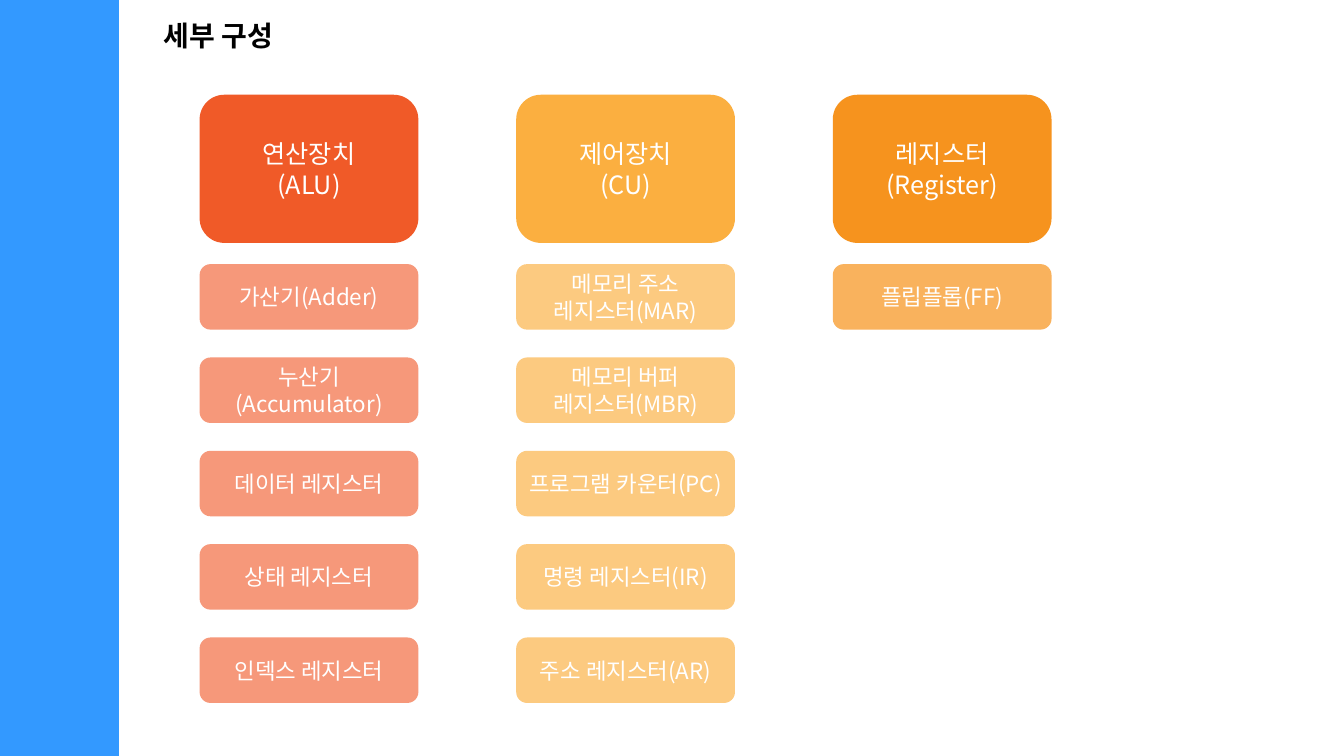
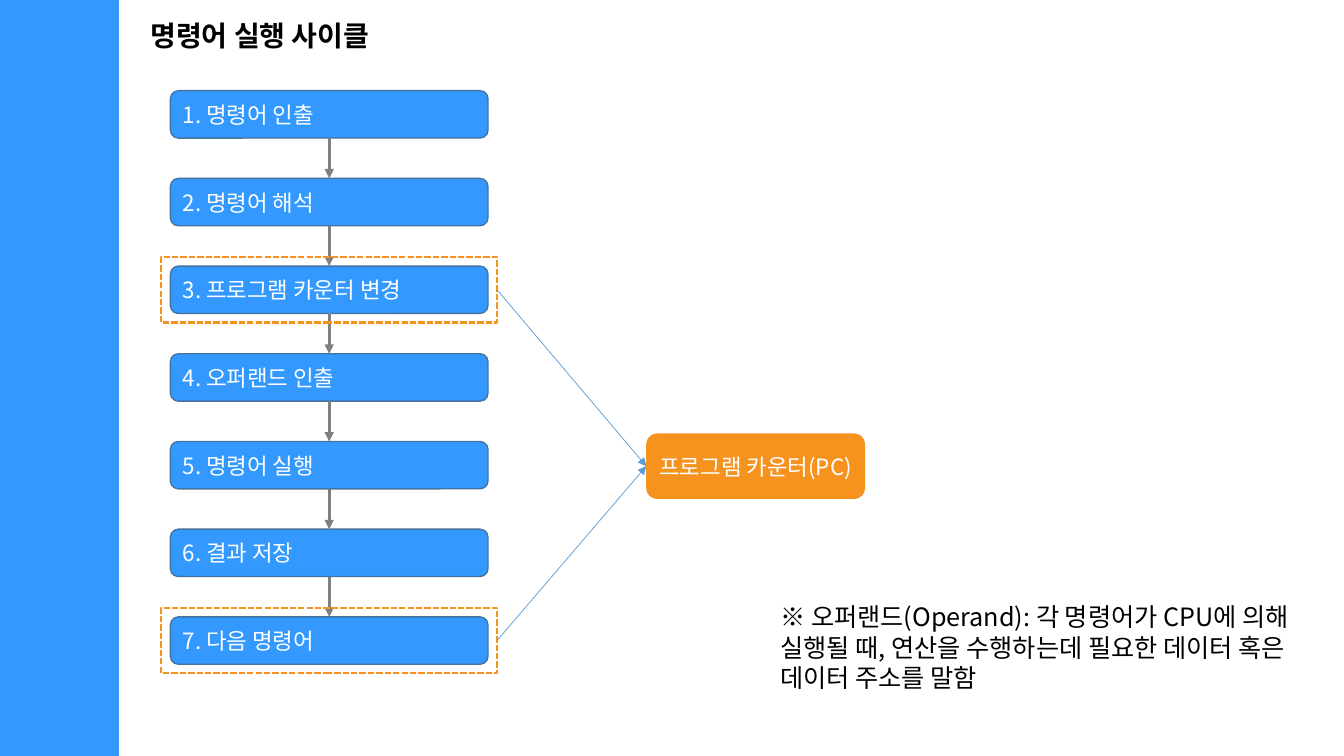
"""Build two slides on the parts of a CPU and its instruction cycle."""
from dataclasses import dataclass
from itertools import pairwise

from lxml.etree import SubElement
from pptx import Presentation
from pptx.dml.color import RGBColor
from pptx.enum.dml import MSO_LINE
from pptx.enum.shapes import MSO_CONNECTOR, MSO_SHAPE
from pptx.enum.text import MSO_ANCHOR, PP_ALIGN
from pptx.oxml.ns import qn
from pptx.util import Inches, Pt


@dataclass(frozen=True)
class Theme:
    """Colours, font and type sizes of the deck."""
    font: str = "Noto Sans CJK KR"
    blue: str = "3399FF"
    outline: str = "43739E"
    link: str = "5B9BD5"
    grey: str = "808080"
    orange: str = "F6931E"
    black: str = "000000"
    white: str = "FFFFFF"
    title_size: int = 20
    large_size: int = 18
    body_size: int = 16


THEME = Theme()
TITLE_ONLY = 5
TOP, BOTTOM, LEFT, RIGHT = 0, 2, 1, 3

UNITS_TITLE = "세부 구성"
UNITS = [
    ("연산장치\n(ALU)", "F05A28", "F6987A",
     ["가산기(Adder)", "누산기\n(Accumulator)", "데이터 레지스터",
      "상태 레지스터", "인덱스 레지스터"]),
    ("제어장치\n(CU)", "FBAF40", "FCCA80",
     ["메모리 주소 레지스터(MAR)", "메모리 버퍼 레지스터(MBR)",
      "프로그램 카운터(PC)", "명령 레지스터(IR)", "주소 레지스터(AR)"]),
    ("레지스터\n(Register)", THEME.orange, "F9B25D", ["플립플롭(FF)"]),
]

CYCLE_TITLE = "명령어 실행 사이클"
STEPS = ["명령어 인출", "명령어 해석", "프로그램 카운터 변경", "오퍼랜드 인출",
         "명령어 실행", "결과 저장", "다음 명령어"]
COUNTER_STEPS = [3, 7]
COUNTER = "프로그램 카운터(PC)"
NOTE = ("※ 오퍼랜드(Operand): 각 명령어가 CPU에 의해 실행될 때, "
        "연산을 수행하는데 필요한 데이터 혹은 데이터 주소를 말함")

UNIT_LEFT, UNIT_PITCH = 1.98, 3.14
UNIT_TOP, UNIT_HEIGHT = 0.94, 1.47
PART_TOP, PART_PITCH = 2.62, 0.926
PART_WIDTH, PART_HEIGHT = 2.17, 0.65
STEP_LEFT, STEP_TOP, STEP_PITCH = 1.69, 0.9, 0.87
STEP_WIDTH, STEP_HEIGHT = 3.15, 0.47
FRAME_MARGIN = 0.09


def color(value):
    """Turn a hex value into a colour."""
    return RGBColor.from_string(value)


def write(frame, text, size, ink, align=PP_ALIGN.LEFT, anchor=MSO_ANCHOR.MIDDLE, bold=False):
    """Write text, one run per line, into a text frame."""
    frame.word_wrap = True
    frame.vertical_anchor = anchor
    para = frame.paragraphs[0]
    para.alignment = align
    for index, line in enumerate(text.split("\n")):
        if index:
            para.add_line_break()
        span = para.add_run()
        span.text = line
        span.font.size = Pt(size)
        span.font.bold = bold
        span.font.color.rgb = color(ink)
        span.font.name = THEME.font
        SubElement(span._r.get_or_add_rPr(), qn("a:ea"), typeface=THEME.font)


def add_box(page, kind, left, top, width, height, fill=None, line=None, weight=1):
    """Add a flat shape with an optional fill and outline."""
    box = page.shapes.add_shape(kind, Inches(left), Inches(top), Inches(width), Inches(height))
    box.shadow.inherit = False
    if fill:
        box.fill.solid()
        box.fill.fore_color.rgb = color(fill)
    else:
        box.fill.background()
    if line:
        box.line.color.rgb = color(line)
        box.line.width = Pt(weight)
    else:
        box.line.fill.background()
    return box


def add_label(page, text, left, top, height, fill, size=THEME.body_size):
    """Add a rounded box with centred white text."""
    box = add_box(page, MSO_SHAPE.ROUNDED_RECTANGLE, left, top, PART_WIDTH, height, fill)
    write(box.text_frame, text, size, THEME.white, PP_ALIGN.CENTER)
    return box


def add_arrow(page, start, start_side, end, end_side, ink, weight):
    """Join two boxes with an arrow."""
    arrow = page.shapes.add_connector(MSO_CONNECTOR.STRAIGHT, 0, 0, 0, 0)
    arrow.begin_connect(start, start_side)
    arrow.end_connect(end, end_side)
    arrow.line.color.rgb = color(ink)
    arrow.line.width = Pt(weight)
    properties = arrow.element.spPr
    SubElement(properties.find(qn("a:ln")), qn("a:tailEnd"), type="triangle")
    SubElement(properties, qn("a:effectLst"))


def add_page(deck, title, left, width):
    """Add a slide with the side band and the title."""
    page = deck.slides.add_slide(deck.slide_layouts[TITLE_ONLY])
    add_box(page, MSO_SHAPE.RECTANGLE, 0, 0, 1.18, 7.5, THEME.blue)
    holder = page.shapes.title
    holder.left, holder.top = Inches(left), Inches(0.13)
    holder.width, holder.height = Inches(width), Inches(0.44)
    write(holder.text_frame, title, THEME.title_size, THEME.black,
          anchor=MSO_ANCHOR.TOP, bold=True)
    return page


def build_units(deck):
    """Build the columns of units and their parts."""
    page = add_page(deck, UNITS_TITLE, 1.52, 7.96)
    for column, (unit, strong, soft, parts) in enumerate(UNITS):
        left = UNIT_LEFT + column * UNIT_PITCH
        add_label(page, unit, left, UNIT_TOP, UNIT_HEIGHT, strong, THEME.large_size)
        for row, part in enumerate(parts):
            add_label(page, part, left, PART_TOP + row * PART_PITCH, PART_HEIGHT, soft)


def build_cycle(deck):
    """Build the chain of steps and the program counter."""
    page = add_page(deck, CYCLE_TITLE, 1.39, 7.05)
    boxes = []
    for index, step in enumerate(STEPS):
        box = add_box(page, MSO_SHAPE.ROUNDED_RECTANGLE, STEP_LEFT,
                      STEP_TOP + index * STEP_PITCH, STEP_WIDTH, STEP_HEIGHT,
                      THEME.blue, THEME.outline)
        write(box.text_frame, f"{index + 1}. {step}", THEME.body_size, THEME.white)
        boxes.append(box)
    for upper, lower in pairwise(boxes):
        add_arrow(page, upper, BOTTOM, lower, TOP, THEME.grey, 2.25)

    counter = add_label(page, COUNTER, 6.41, 4.3, PART_HEIGHT, THEME.orange)
    for number in COUNTER_STEPS:
        top = STEP_TOP + (number - 1) * STEP_PITCH
        frame = add_box(page, MSO_SHAPE.RECTANGLE, STEP_LEFT - FRAME_MARGIN, top - FRAME_MARGIN,
                        STEP_WIDTH + 2 * FRAME_MARGIN, STEP_HEIGHT + 2 * FRAME_MARGIN,
                        line=THEME.orange, weight=1.5)
        frame.line.dash_style = MSO_LINE.SQUARE_DOT
        add_arrow(page, frame, RIGHT, counter, LEFT, THEME.link, 0.5)

    note = page.shapes.add_textbox(Inches(7.64), Inches(5.92), Inches(5.52), Inches(1.01))
    write(note.text_frame, NOTE, THEME.large_size, THEME.black, anchor=MSO_ANCHOR.TOP)


def main():
    """Build and save the deck."""
    deck = Presentation()
    deck.slide_width, deck.slide_height = Inches(13.33), Inches(7.5)
    build_units(deck)
    build_cycle(deck)
    deck.save("out.pptx")


if __name__ == "__main__":
    main()
